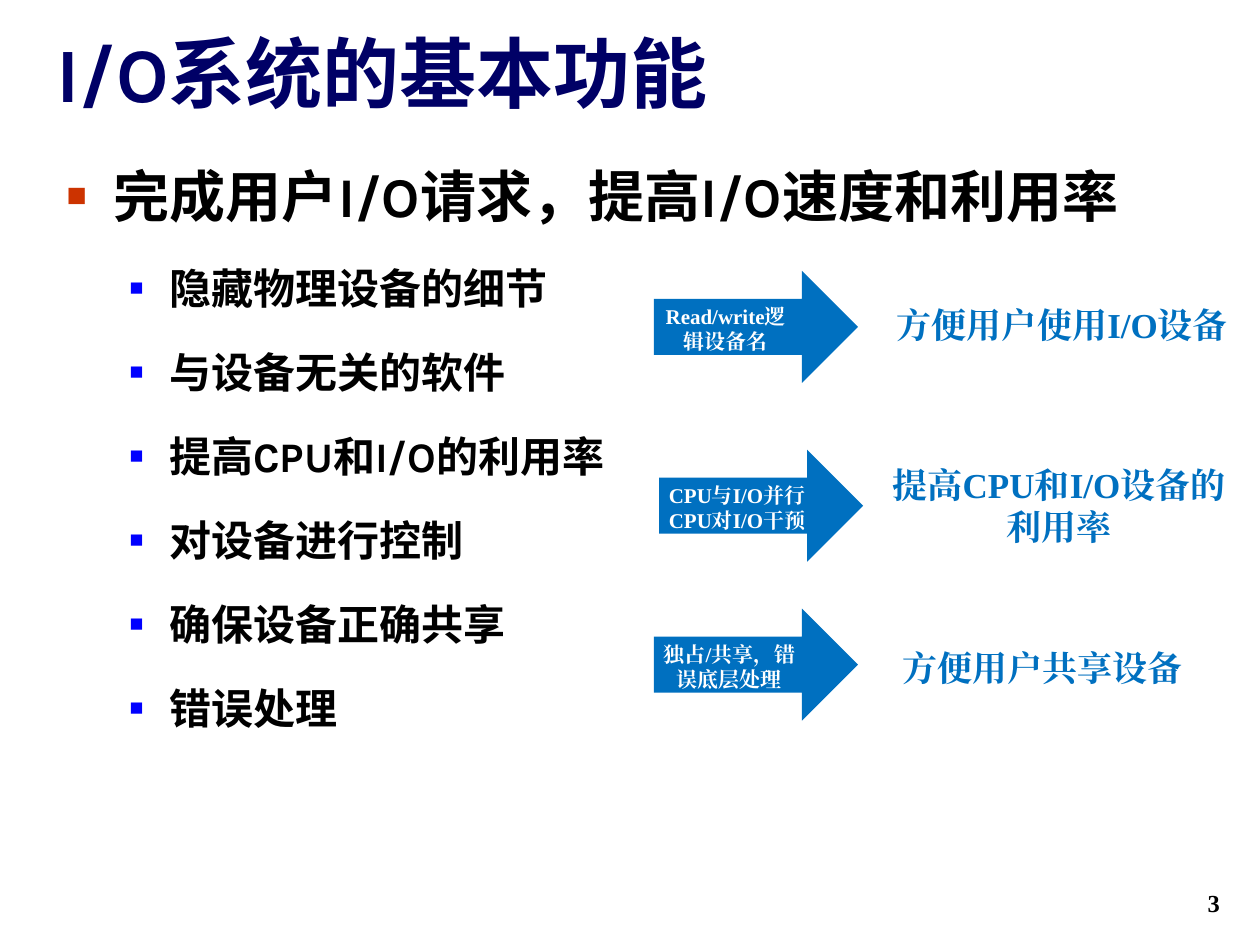
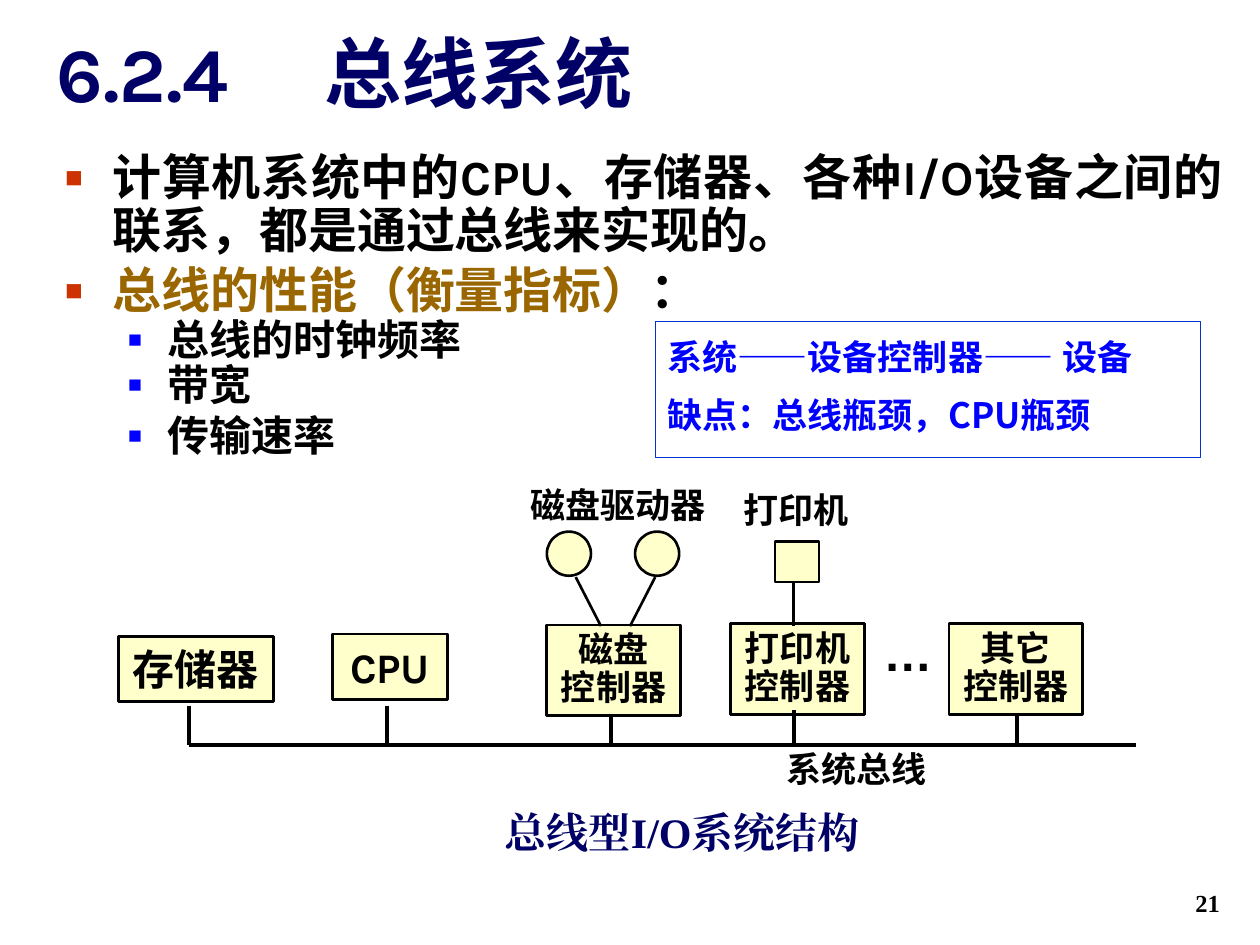
from dataclasses import dataclass

from lxml.etree import SubElement
from pptx import Presentation
from pptx.dml.color import RGBColor
from pptx.enum.lang import MSO_LANGUAGE_ID
from pptx.enum.shapes import MSO_CONNECTOR, MSO_SHAPE
from pptx.enum.text import MSO_ANCHOR, PP_ALIGN
from pptx.oxml.ns import qn
from pptx.util import Pt


@dataclass(frozen=True)
class Theme:
    """Colours, fonts and type sizes shared by the slides."""
    navy: str = "000066"
    black: str = "000000"
    white: str = "FFFFFF"
    blue: str = "0000FF"
    red: str = "CC3300"
    gold: str = "996600"
    arrow: str = "0070C0"
    cream: str = "FFFFCC"
    frame: str = "0033CC"
    heading: str = "Karla"
    serif: str = "Times New Roman"
    sans: str = "Noto Sans CJK SC"
    symbol: str = "Arial"
    title_size: int = 44
    lead_size: int = 32
    point_size: int = 28
    sub_size: int = 24
    label_size: int = 20
    number_size: int = 14
    small_size: int = 12


THEME = Theme()


def rgb(code):
    """Turn a hex code into a colour."""
    return RGBColor.from_string(code)


def style(paragraph, size, color=THEME.black, face=THEME.heading, east=None,
          align=PP_ALIGN.LEFT, spacing=None, before=0):
    """Set the type and spacing of a paragraph."""
    paragraph.alignment = align
    paragraph.space_before = Pt(before)
    if spacing:
        paragraph.line_spacing = spacing
    font = paragraph.font
    font.size, font.bold, font.name = Pt(size), True, face
    font.color.rgb = rgb(color)
    font.language_id = MSO_LANGUAGE_ID.SIMPLIFIED_CHINESE
    SubElement(paragraph._p.pPr.find(qn("a:defRPr")), qn("a:ea"), typeface=east or face)


def write(frame, lines, size, between=0, **look):
    """Fill a text frame with lines of one style."""
    for index, line in enumerate(lines):
        paragraph = frame.paragraphs[0] if index == 0 else frame.add_paragraph()
        paragraph.add_run().text = line
        style(paragraph, size, before=between if index else 0, **look)


def add_text(slide, box, lines, size, anchor=MSO_ANCHOR.TOP, **look):
    """Add a wrapping text box."""
    frame = slide.shapes.add_textbox(*map(Pt, box)).text_frame
    frame.word_wrap = True
    frame.vertical_anchor = anchor
    write(frame, lines, size, **look)
    return frame


def add_bullet(paragraph, level):
    """Give a paragraph the square bullet of its level."""
    left, hang, color, percent = ((27, 27, THEME.red, 60), (58.5, 22.5, THEME.blue, 55))[level]
    properties = paragraph._p.get_or_add_pPr()
    properties.set("marL", str(Pt(left)))
    properties.set("indent", str(-Pt(hang)))
    properties.set("lvl", str(level))
    SubElement(SubElement(properties, qn("a:buClr")), qn("a:srgbClr"), val=color)
    SubElement(properties, qn("a:buSzPct"), val=str(percent * 1000))
    SubElement(properties, qn("a:buFont"), typeface=THEME.symbol)
    SubElement(properties, qn("a:buChar"), char="■")


def add_outline(slide, box, items):
    """Add a bulleted list of (level, coloured runs, look) items."""
    frame = slide.shapes.add_textbox(*map(Pt, box)).text_frame
    frame.word_wrap = True
    for index, (level, runs, look) in enumerate(items):
        paragraph = frame.paragraphs[0] if index == 0 else frame.add_paragraph()
        add_bullet(paragraph, level)
        style(paragraph, **look)
        for text, color in runs:
            run = paragraph.add_run()
            run.text = text
            if color:
                run.font.color.rgb = rgb(color)


def add_block(slide, kind, box, fill=None, line=None, width=1.5):
    """Add a flat preset shape."""
    block = slide.shapes.add_shape(kind, *map(Pt, box))
    block.shadow.inherit = False
    if fill:
        block.fill.solid()
        block.fill.fore_color.rgb = rgb(fill)
    else:
        block.fill.background()
    if line:
        block.line.color.rgb = rgb(line)
        block.line.width = Pt(width)
    else:
        block.line.fill.background()
    return block


def add_unit(slide, box, lines, size, spacing=None):
    """Add a labelled hardware unit."""
    unit = add_block(slide, MSO_SHAPE.RECTANGLE, box, THEME.cream, THEME.black)
    frame = unit.text_frame
    frame.word_wrap = False
    frame.vertical_anchor = MSO_ANCHOR.MIDDLE
    write(frame, lines, size, align=PP_ALIGN.CENTER, spacing=spacing)


def add_wire(slide, start, end, width=1.5):
    """Join two points with a straight black line."""
    wire = slide.shapes.add_connector(MSO_CONNECTOR.STRAIGHT, *map(Pt, start + end))
    wire.line.color.rgb = rgb(THEME.black)
    wire.line.width = Pt(width)
    SubElement(wire._element.spPr, qn("a:effectLst"))


def add_page(deck, title, number, tab=None):
    """Add a slide with its title and number."""
    slide = deck.slides.add_slide(deck.slide_layouts[6])
    heading = add_text(slide, (25.2, 16.5, 679, 54.7), [title], THEME.title_size,
                       MSO_ANCHOR.BOTTOM, color=THEME.navy)
    if tab:
        properties = heading.paragraphs[0]._p.pPr
        stops = properties.makeelement(qn("a:tabLst"))
        SubElement(stops, qn("a:tab"), pos=str(Pt(tab)), algn="l")
        properties.find(qn("a:defRPr")).addprevious(stops)
    add_text(slide, (554.4, 491.8, 149.8, 36), [str(number)], THEME.number_size,
             MSO_ANCHOR.BOTTOM, face=THEME.serif, align=PP_ALIGN.RIGHT)
    return slide


def build_functions(deck):
    """Build the slide on the functions of the I/O system."""
    slide = add_page(deck, "I/O系统的基本功能", 3)
    goals = ("隐藏物理设备的细节", "与设备无关的软件", "提高CPU和I/O的利用率",
             "对设备进行控制", "确保设备正确共享", "错误处理")
    lead = (0, [("完成用户I/O请求，提高I/O速度和利用率", None)], dict(size=THEME.lead_size))
    goal_look = dict(size=THEME.sub_size, spacing=1.5, before=4.8)
    add_outline(slide, (31, 88.6, 674, 394.6),
                [lead] + [(1, [(goal, None)], goal_look) for goal in goals])
    center, left = PP_ALIGN.CENTER, PP_ALIGN.LEFT
    benefits = (
        ((373.7, 154.8), "Read/write逻辑设备名", (367.9, 93.6),
         "方便用户使用I/O设备", (505.4, 169.9), left),
        ((376.6, 257), "CPU与I/O并行CPU对I/O干预", (362.9, 116.6),
         "提高CPU和I/O设备的利用率", (502.6, 261.4), center),
        ((373.7, 347.8), "独占/共享，错误底层处理", (371.5, 90.7),
         "方便用户共享设备", (493.2, 365.8), center),
    )
    for (x, y), means, (means_x, means_width), benefit, place, align in benefits:
        add_block(slide, MSO_SHAPE.RIGHT_ARROW, (x, y, 116.6, 64), THEME.arrow)
        add_text(slide, (means_x, y + 15.1, means_width, 36.5), [means], THEME.small_size,
                 color=THEME.white, face=THEME.serif, align=center)
        add_text(slide, place + (205.2, 31.7), [benefit], THEME.label_size,
                 color=THEME.arrow, face=THEME.serif, align=align)


def build_bus(deck):
    """Build the slide on the bus system."""
    slide = add_page(deck, "6.2.4\t总线系统", 21, tab=153)
    point = dict(size=THEME.point_size, spacing=0.9, align=PP_ALIGN.JUSTIFY)
    sub = dict(point, size=THEME.sub_size)
    add_outline(slide, (30.2, 84.2, 675.4, 214.6), [
        (0, [("计算机系统中的CPU、存储器、各种I/O设备之间的联系，都是通过总线来实现的。", None)], point),
        (0, [("总线的性能（衡量指标）", THEME.gold), ("：", None)], dict(point, before=4)),
        (1, [("总线的时钟频率", None)], sub),
        (1, [("带宽", None)], sub),
        (1, [("传输速率", None)], dict(sub, before=3)),
    ])
    summary = add_block(slide, MSO_SHAPE.RECTANGLE, (374.4, 183.6, 311.8, 77.8),
                        line=THEME.frame, width=0.75).text_frame
    summary.vertical_anchor = MSO_ANCHOR.TOP
    write(summary, ["系统――设备控制器―― 设备", "缺点：总线瓶颈，CPU瓶颈"], THEME.label_size,
          color=THEME.blue, face=THEME.sans, east=THEME.heading, spacing=1.2, between=4)

    add_unit(slide, (67.7, 363.6, 88.6, 37.4), ["存储器"], THEME.sub_size)
    add_unit(slide, (190.1, 362.2, 65.5, 37.4), ["CPU"], THEME.sub_size)
    controllers = (("磁盘", 312.5, 357.1), ("打印机", 417.6, 356.4), ("其它", 542.2, 356.4))
    for device, x, y in controllers:
        add_unit(slide, (x, y, 76.3, 51.8), [device, "控制器"], THEME.label_size, 0.9)

    for x in (312.5, 362.9):
        add_block(slide, MSO_SHAPE.OVAL, (x, 303.8, 25.2, 25.2), THEME.cream, THEME.black)
    add_block(slide, MSO_SHAPE.RECTANGLE, (442.8, 309.6, 25.2, 23), THEME.cream, THEME.black)
    for start, end_x in (((329, 329.8), 343.4), ((374.4, 329.8), 360), ((453.6, 332.6), 453.6)):
        add_wire(slide, start, (end_x, 357.8))

    bus_y = 425.5
    add_wire(slide, (108, bus_y), (649.4, bus_y), 2.25)
    for x, top in ((108, 403.2), (221, 403.2), (349.2, 409), (453.6, 406), (581, 409)):
        add_wire(slide, (x, top), (x, bus_y), 2.25)

    for label, box in (("磁盘驱动器", (292.3, 272.9, 121.7, 31)),
                       ("打印机", (416.9, 275.8, 76.3, 31)),
                       ("系统总线", (428.4, 423.4, 121.7, 31))):
        add_text(slide, box, [label], THEME.label_size, align=PP_ALIGN.CENTER)
    add_text(slide, (496.1, 352.1, 45.4, 41), ["…"], THEME.point_size,
             face=THEME.symbol, align=PP_ALIGN.CENTER)
    add_text(slide, (223.9, 457.2, 331.9, 36), ["总线型I/O系统结构"], THEME.sub_size,
             color=THEME.navy, face=THEME.serif, align=PP_ALIGN.CENTER)


def main():
    """Build and save the deck."""
    deck = Presentation()
    deck.slide_width, deck.slide_height = Pt(720), Pt(540)
    build_functions(deck)
    build_bus(deck)
    deck.save("out.pptx")


if __name__ == "__main__":
    main()
